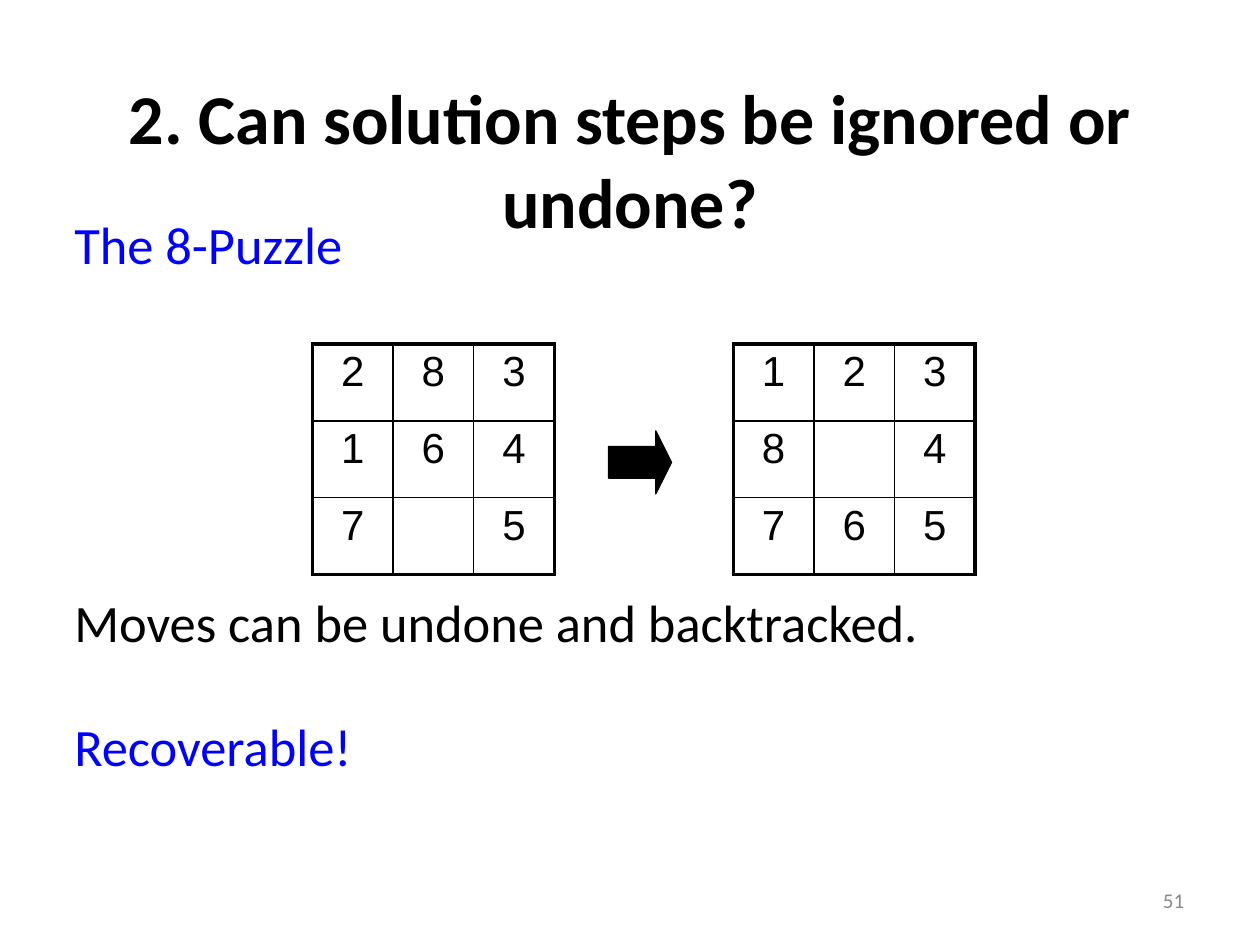
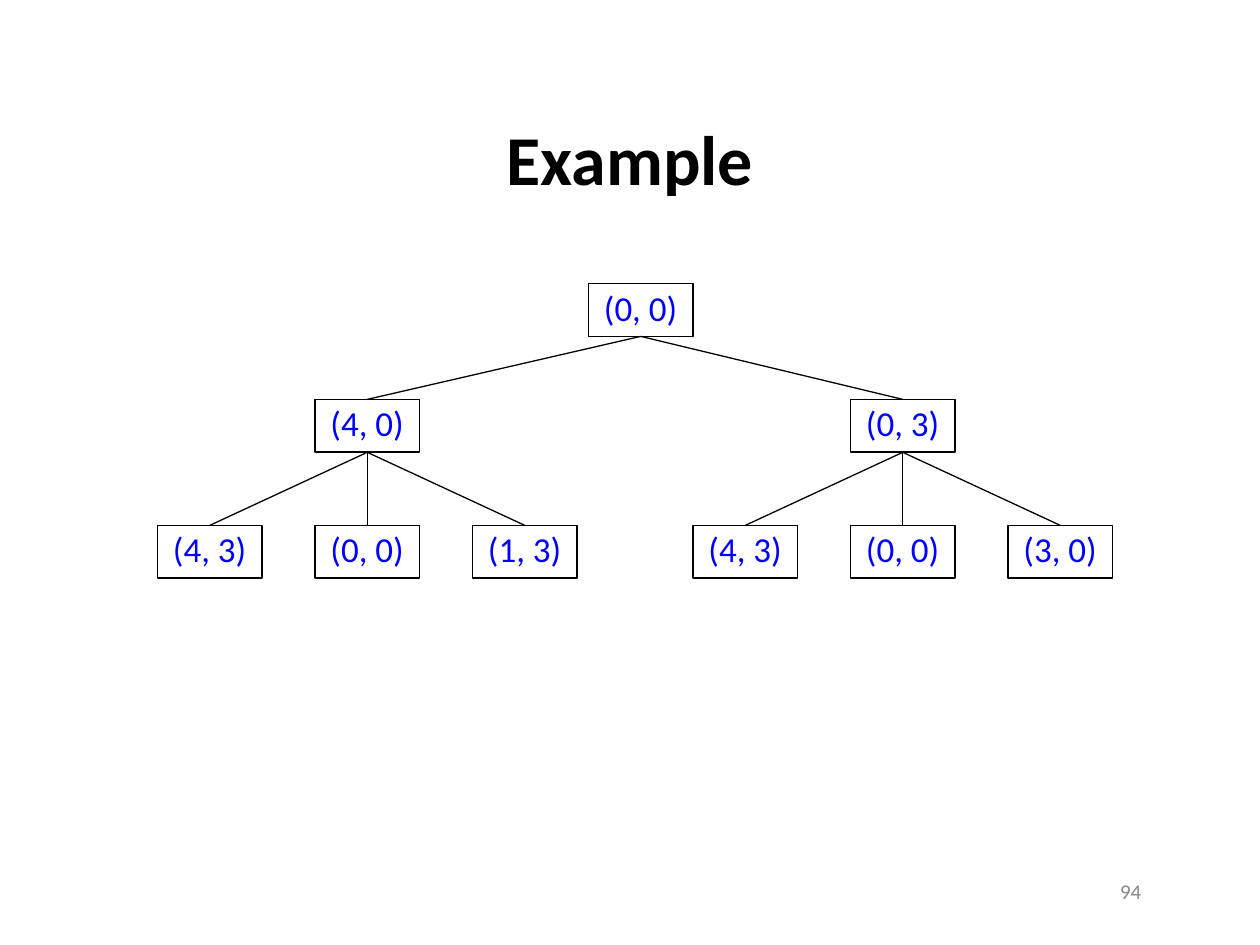
from lxml.etree import SubElement
from pptx import Presentation
from pptx.dml.color import RGBColor
from pptx.enum.shapes import MSO_CONNECTOR, MSO_SHAPE
from pptx.enum.text import MSO_ANCHOR, PP_ALIGN
from pptx.oxml.ns import qn
from pptx.util import Inches, Pt

COLORS = {"ink": "000000", "accent": "0000FF", "number": "888888"}
BODY_FONT = "Calibri"
TILE_FONT = "Arial"
GRID_SIZE = 3
TILE_WIDTH, TILE_HEIGHT = 0.64, 0.61
NODE_WIDTH, NODE_HEIGHT = 0.83, 0.42
LEAF_STEP = 1.25


def color(name):
    return RGBColor.from_string(COLORS[name])


def add_run(paragraph, text, size, color_name, font=BODY_FONT, bold=False):
    run = paragraph.add_run()
    run.text = text
    run.font.name = font
    run.font.size = Pt(size)
    run.font.bold = bold
    run.font.color.rgb = color(color_name)


def prepare_frame(frame, top_margin=0.01):
    frame.margin_left = frame.margin_right = frame.margin_bottom = 0
    frame.margin_top = Inches(top_margin)
    frame.vertical_anchor = MSO_ANCHOR.TOP
    frame.word_wrap = True
    return frame.paragraphs[0]


def add_text_box(slide, left, top, width, height):
    box = slide.shapes.add_textbox(Inches(left), Inches(top), Inches(width), Inches(height))
    return box.text_frame, prepare_frame(box.text_frame)


def add_title(slide, text, top, height):
    _, paragraph = add_text_box(slide, 0.95, top, 8.1, height)
    paragraph.alignment = PP_ALIGN.CENTER
    paragraph.space_before = Pt(0.9)
    add_run(paragraph, text, 40, "ink", bold=True)


def add_slide_number(slide, number, left, top):
    frame, paragraph = add_text_box(slide, left, top, 0.3, 0.19)
    frame.margin_top = 0
    frame.margin_left = Inches(0.04)
    paragraph.line_spacing = Pt(12.4)
    add_run(paragraph, number, 12, "number")


def add_body(slide, lines, left, top, width, height):
    frame, paragraph = add_text_box(slide, left, top, width, height)
    for index, (text, color_name) in enumerate(lines):
        if index:
            paragraph = frame.add_paragraph()
        paragraph.space_before = Pt(35 if index else 1)
        add_run(paragraph, text, 30, color_name)


def set_cell_borders(cell, row, column):
    last = GRID_SIZE - 1
    outer_sides = {"lnL": column == 0, "lnR": column == last,
                   "lnT": row == 0, "lnB": row == last}
    properties = cell._tc.get_or_add_tcPr()
    for side, is_outer in outer_sides.items():
        border = SubElement(properties, qn(f"a:{side}"), w=str(Pt(2.25 if is_outer else 1)))
        fill = SubElement(border, qn("a:solidFill"))
        SubElement(fill, qn("a:srgbClr"), val=COLORS["ink"])


def add_puzzle(slide, tiles, left, top):
    table = slide.shapes.add_table(
        GRID_SIZE, GRID_SIZE, Inches(left), Inches(top),
        Inches(GRID_SIZE * TILE_WIDTH), Inches(GRID_SIZE * TILE_HEIGHT)).table
    table.first_row = table.horz_banding = False
    for index in range(GRID_SIZE):
        table.columns[index].width = Inches(TILE_WIDTH)
        table.rows[index].height = Inches(TILE_HEIGHT)
    for row, values in enumerate(tiles):
        for column, value in enumerate(values):
            cell = table.cell(row, column)
            cell.margin_left = cell.margin_right = cell.margin_bottom = 0
            cell.margin_top = Inches(0.04)
            set_cell_borders(cell, row, column)
            cell.fill.background()
            if value.strip():
                paragraph = cell.text_frame.paragraphs[0]
                paragraph.alignment = PP_ALIGN.CENTER
                paragraph.space_before = Pt(2.5)
                add_run(paragraph, value, 24, "ink", TILE_FONT)


def add_block_arrow(slide, left, top, size):
    arrow = slide.shapes.add_shape(
        MSO_SHAPE.RIGHT_ARROW, Inches(left), Inches(top), Inches(size), Inches(size))
    arrow.adjustments[0] = 0.5
    arrow.adjustments[1] = 0.25
    arrow.shadow.inherit = False
    arrow.fill.solid()
    arrow.fill.fore_color.rgb = color("ink")
    arrow.line.color.rgb = color("ink")
    arrow.line.width = Pt(0.75)


def add_node(slide, text, left, top):
    node = slide.shapes.add_shape(
        MSO_SHAPE.RECTANGLE, Inches(left), Inches(top), Inches(NODE_WIDTH), Inches(NODE_HEIGHT))
    node.shadow.inherit = False
    node.fill.background()
    node.line.color.rgb = color("ink")
    node.line.width = Pt(1)
    paragraph = prepare_frame(node.text_frame, 0.02)
    paragraph.alignment = PP_ALIGN.CENTER
    paragraph.space_before = Pt(1.8)
    add_run(paragraph, text, 20, "accent")
    return node


def connect(slide, parent, child):
    edge = slide.shapes.add_connector(MSO_CONNECTOR.STRAIGHT, 0, 0, 0, 0)
    edge.begin_connect(parent, 2)
    edge.end_connect(child, 0)
    edge.line.color.rgb = color("ink")
    edge.line.width = Pt(0.75)
    SubElement(edge._element.spPr, qn("a:effectLst"))


def add_state_tree(slide, root_text, branches, left, top):
    root = add_node(slide, root_text, left + 3.42, top)
    for branch_index, (branch_text, leaves) in enumerate(branches):
        branch_left = left + branch_index * 4.25
        branch = add_node(slide, branch_text, branch_left + LEAF_STEP, top + 0.92)
        connect(slide, root, branch)
        for leaf_index, leaf_text in enumerate(leaves):
            leaf = add_node(slide, leaf_text, branch_left + leaf_index * LEAF_STEP, top + 1.92)
            connect(slide, branch, leaf)


def build_puzzle_slide(slide):
    add_title(slide, "2. Can solution steps be ignored or undone?", 0.58, 1.35)
    add_body(slide, [("The 8-Puzzle", "accent")], 0.59, 1.67, 2.5, 0.53)
    add_body(slide, [("Moves can be undone and backtracked.", "ink"),
                     ("Recoverable!", "accent")], 0.59, 4.67, 7, 1.53)
    add_puzzle(slide, ["283", "164", "7 5"], 2.48, 2.73)
    add_puzzle(slide, ["123", "8 4", "765"], 5.82, 2.73)
    add_block_arrow(slide, 4.83, 3.42, 0.5)
    add_slide_number(slide, "51", 9.19, 7.07)


def build_tree_slide(slide):
    add_title(slide, "Example", 0.91, 0.69)
    branches = [("(4, 0)", ["(4, 3)", "(0, 0)", "(1, 3)"]),
                ("(0, 3)", ["(4, 3)", "(0, 0)", "(3, 0)"])]
    add_state_tree(slide, "(0, 0)", branches, 1.25, 2.25)
    add_slide_number(slide, "94", 8.85, 7)


def main():
    presentation = Presentation()
    presentation.slide_width = Inches(10)
    presentation.slide_height = Inches(7.5)
    for build in (build_puzzle_slide, build_tree_slide):
        build(presentation.slides.add_slide(presentation.slide_layouts[6]))
    presentation.save("out.pptx")


if __name__ == "__main__":
    main()
